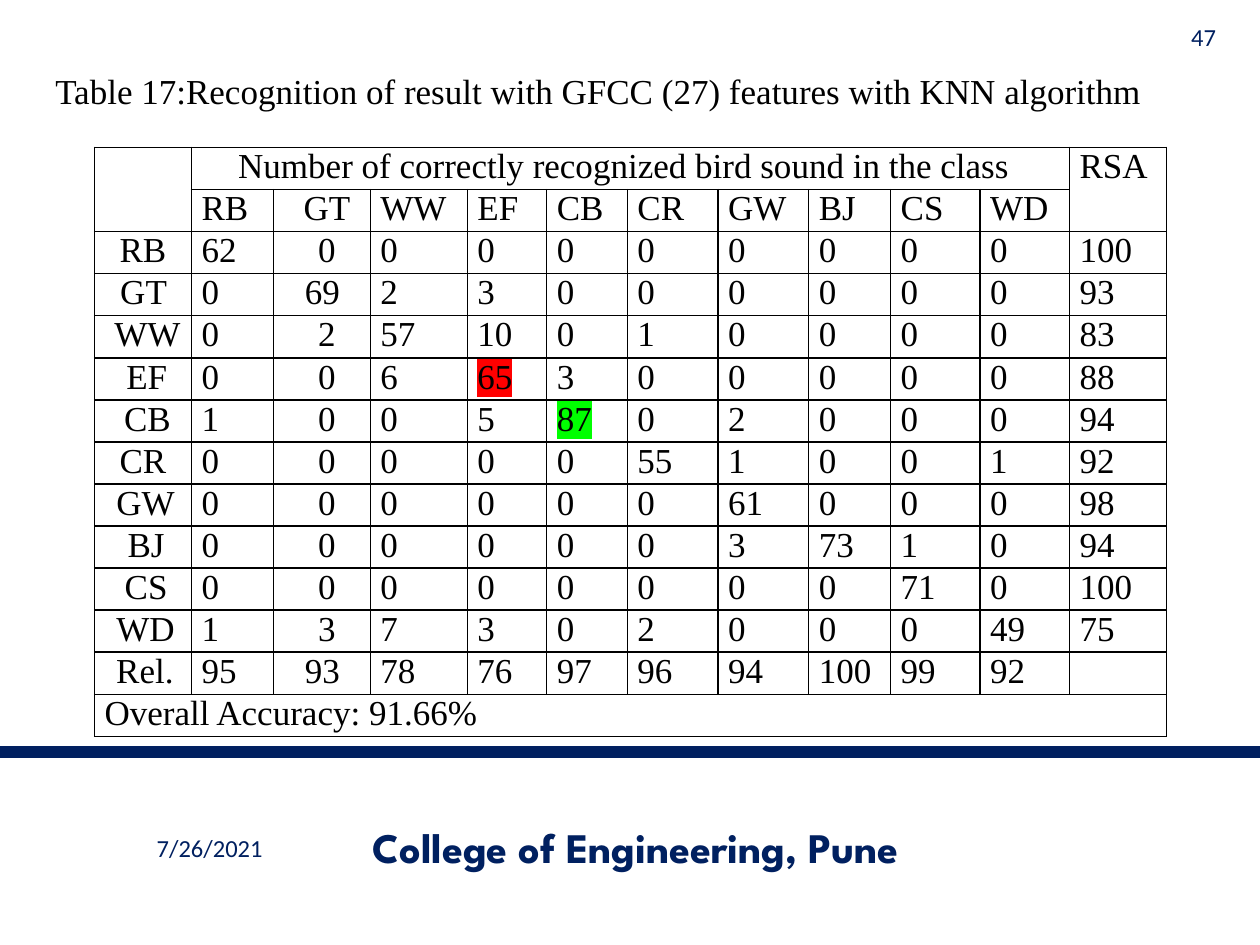
"""Build a slide with the bird sound recognition table."""
from dataclasses import dataclass
from typing import Any, NamedTuple

import pptx
import pptx.dml.color
import pptx.enum.shapes
import pptx.enum.text
import pptx.oxml
import pptx.oxml.ns
import pptx.util

ALIGN = pptx.enum.text.PP_ALIGN
ANCHOR = pptx.enum.text.MSO_ANCHOR
NS = pptx.oxml.ns.nsdecls("a")


@dataclass(frozen=True)
class Theme:
    """Hold the colours, fonts and type sizes."""
    ink: str = "000000"
    navy: str = "002060"
    red: str = "FF0000"
    green: str = "00FF00"
    serif: str = "Times New Roman"
    sans: str = "Calibri"
    brand: str = "League Spartan"
    small: int = 14
    body: int = 20
    large: int = 24
    rule: float = 6.5
    edge: int = 1


class Box(NamedTuple):
    """Place an area in percent of the slide's size."""
    left: float
    top: float
    width: float
    height: float


class Label(NamedTuple):
    """Describe one line of text in the slide's frame."""
    text: str
    box: Box
    font: str
    size: int
    align: Any
    bold: bool = False


class Row(NamedTuple):
    """Describe one row by its head, the head's indent and its values."""
    head: str
    indent: float
    cells: str


THEME = Theme()
WIDTH = pptx.util.Inches(10)
HEIGHT = pptx.util.Inches(7.5)
RULE = 79.6
TITLE = "Table 17:Recognition of result with GFCC (27) features with KNN algorithm"
HEAD = Box(2.5, 6.67, 90, 5.87)
GRID = Box(7.5, 15.6, 85, 62.27)
COLS = [.77, .65, .77, .77, .63, .64, .72, .72, .65, .71, .71, .77]
PAD = .08
LABELS = [
    Label("7/26/2021", Box(5, 87.07, 23.3, 5.33), THEME.sans, THEME.small, ALIGN.CENTER),
    Label("College of Engineering, Pune", Box(24.2, 86.93, 52.5, 5.33),
          THEME.brand, THEME.large, ALIGN.CENTER, True),
    Label("47", Box(92.5, 2, 5, 3.73), THEME.sans, THEME.small, ALIGN.RIGHT),
]
ROWS = [
    Row("RB", 0, "62 0 0 0 0 0 0 0 0 0 100"),
    Row("GT", .01, "0 69 2 3 0 0 0 0 0 0 93"),
    Row("WW", .07, "0 2 57 10 0 1 0 0 0 0 83"),
    Row("EF", .06, "0 0 6 65 3 0 0 0 0 0 88"),
    Row("CB", .07, "1 0 0 5 87 0 2 0 0 0 94"),
    Row("CR", 0, "0 0 0 0 0 55 1 0 0 1 92"),
    Row("GW", .04, "0 0 0 0 0 0 61 0 0 0 98"),
    Row("BJ", .05, "0 0 0 0 0 0 3 73 1 0 94"),
    Row("CS", .05, "0 0 0 0 0 0 0 0 71 0 100"),
    Row("WD", .04, "1 3 7 3 0 2 0 0 0 49 75"),
    Row("Rel.", .03, "95 93 78 76 97 96 94 100 99 92"),
]
MARKS = {"65": THEME.red, "87": THEME.green}


def place(box: Box) -> tuple[int, int, int, int]:
    """Turn shares of the slide into lengths."""
    return (int(WIDTH * box.left / 100), int(HEIGHT * box.top / 100),
            int(WIDTH * box.width / 100), int(HEIGHT * box.height / 100))


def style(para: Any, font: str, size: int, color: str, align: Any, bold: bool = False) -> None:
    """Set the font and alignment of a paragraph."""
    para.alignment = align
    para.font.name = font
    para.font.size = pptx.util.Pt(size)
    para.font.bold = bold
    para.font.color.rgb = pptx.dml.color.RGBColor.from_string(color)


def draw_title(slide: Any) -> None:
    """Move and format the title."""
    title = slide.shapes.title
    title.left, title.top, title.width, title.height = place(HEAD)
    frame = title.text_frame
    frame.text = TITLE
    frame.word_wrap = True
    frame.auto_size = pptx.enum.text.MSO_AUTO_SIZE.SHAPE_TO_FIT_TEXT
    frame.vertical_anchor = ANCHOR.TOP
    style(frame.paragraphs[0], THEME.serif, THEME.body, THEME.ink, ALIGN.CENTER)


def draw_label(slide: Any, label: Label) -> None:
    """Draw one line of frame text."""
    frame = slide.shapes.add_textbox(*place(label.box)).text_frame
    frame.text = label.text
    frame.word_wrap = True
    frame.vertical_anchor = ANCHOR.MIDDLE
    style(frame.paragraphs[0], label.font, label.size, THEME.navy, label.align, label.bold)


def draw_rule(slide: Any) -> None:
    """Draw the line above the footer."""
    level = int(HEIGHT * RULE / 100)
    line = slide.shapes.add_connector(
        pptx.enum.shapes.MSO_CONNECTOR.STRAIGHT, 0, level, WIDTH, level)
    line.line.color.rgb = pptx.dml.color.RGBColor.from_string(THEME.navy)
    line.line.width = pptx.util.Pt(THEME.rule)
    line._element.spPr.append(pptx.oxml.parse_xml(f"<a:effectLst {NS}/>"))


def frame_cell(cell: Any) -> None:
    """Clear a cell's fill and margins and give it borders."""
    cell.fill.background()
    cell.margin_left = cell.margin_right = cell.margin_top = cell.margin_bottom = 0
    props = cell._tc.get_or_add_tcPr()
    for spot, side in enumerate("LRTB"):
        props.insert(spot, pptx.oxml.parse_xml(
            f'<a:ln{side} {NS} w="{pptx.util.Pt(THEME.edge)}"><a:solidFill>'
            f'<a:srgbClr val="{THEME.ink}"/></a:solidFill></a:ln{side}>'))


def fill_cell(cell: Any, text: str, indent: float, align: Any = ALIGN.LEFT) -> None:
    """Write a cell's text, marking the values that stand out."""
    para = cell.text_frame.paragraphs[0]
    para.text = text
    para._p.get_or_add_pPr().set("marL", str(pptx.util.Inches(indent)))
    style(para, THEME.serif, THEME.body, THEME.ink, align)
    if text in MARKS:
        para.runs[0]._r.get_or_add_rPr().append(pptx.oxml.parse_xml(
            f'<a:highlight {NS}><a:srgbClr val="{MARKS[text]}"/></a:highlight>'))


def draw_table(slide: Any) -> None:
    """Draw the recognition table."""
    last, end = len(COLS) - 1, len(ROWS) + 2
    table = slide.shapes.add_table(end + 1, last + 1, *place(GRID)).table
    table.first_row = table.horz_banding = False
    for col, width in zip(table.columns, COLS):
        col.width = pptx.util.Inches(width)
    for cell in table.iter_cells():
        frame_cell(cell)
    for top, left, low, right in ((0, 0, 1, 0), (0, 1, 0, last - 1),
                                  (0, last, 1, last), (end, 0, end, last)):
        table.cell(top, left).merge(table.cell(low, right))
    fill_cell(table.cell(0, 1), "Number of correctly recognized bird sound in the class", .37)
    fill_cell(table.cell(0, last), "RSA", PAD)
    fill_cell(table.cell(end, 0), "Overall Accuracy: 91.66%", PAD)
    for col, row in enumerate(ROWS[:-1], 1):
        fill_cell(table.cell(1, col), row.head, PAD, ALIGN.CENTER if col == 2 else ALIGN.LEFT)
    for line, row in enumerate(ROWS, 2):
        fill_cell(table.cell(line, 0), row.head, row.indent, ALIGN.CENTER)
        for col, text in enumerate(row.cells.split(), 1):
            mid = col == 2
            fill_cell(table.cell(line, col), text, .01 if mid and len(text) > 1 else PAD,
                      ALIGN.CENTER if mid else ALIGN.LEFT)


def main() -> None:
    """Build and save the slide."""
    deck = pptx.Presentation()
    deck.slide_width, deck.slide_height = WIDTH, HEIGHT
    slide = deck.slides.add_slide(deck.slide_layouts[5])
    draw_rule(slide)
    for label in LABELS:
        draw_label(slide, label)
    draw_title(slide)
    draw_table(slide)
    deck.save("out.pptx")


if __name__ == "__main__":
    main()
